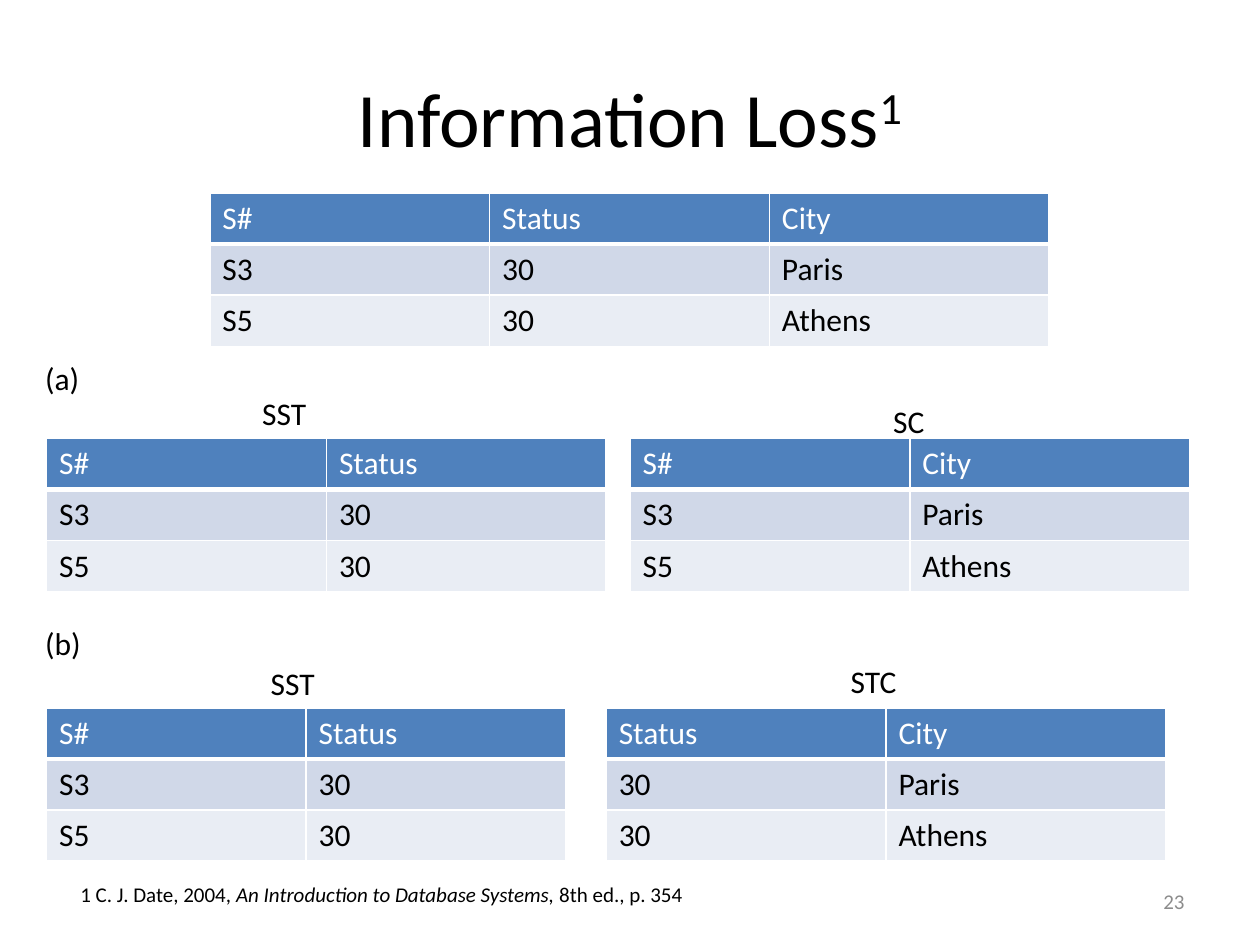
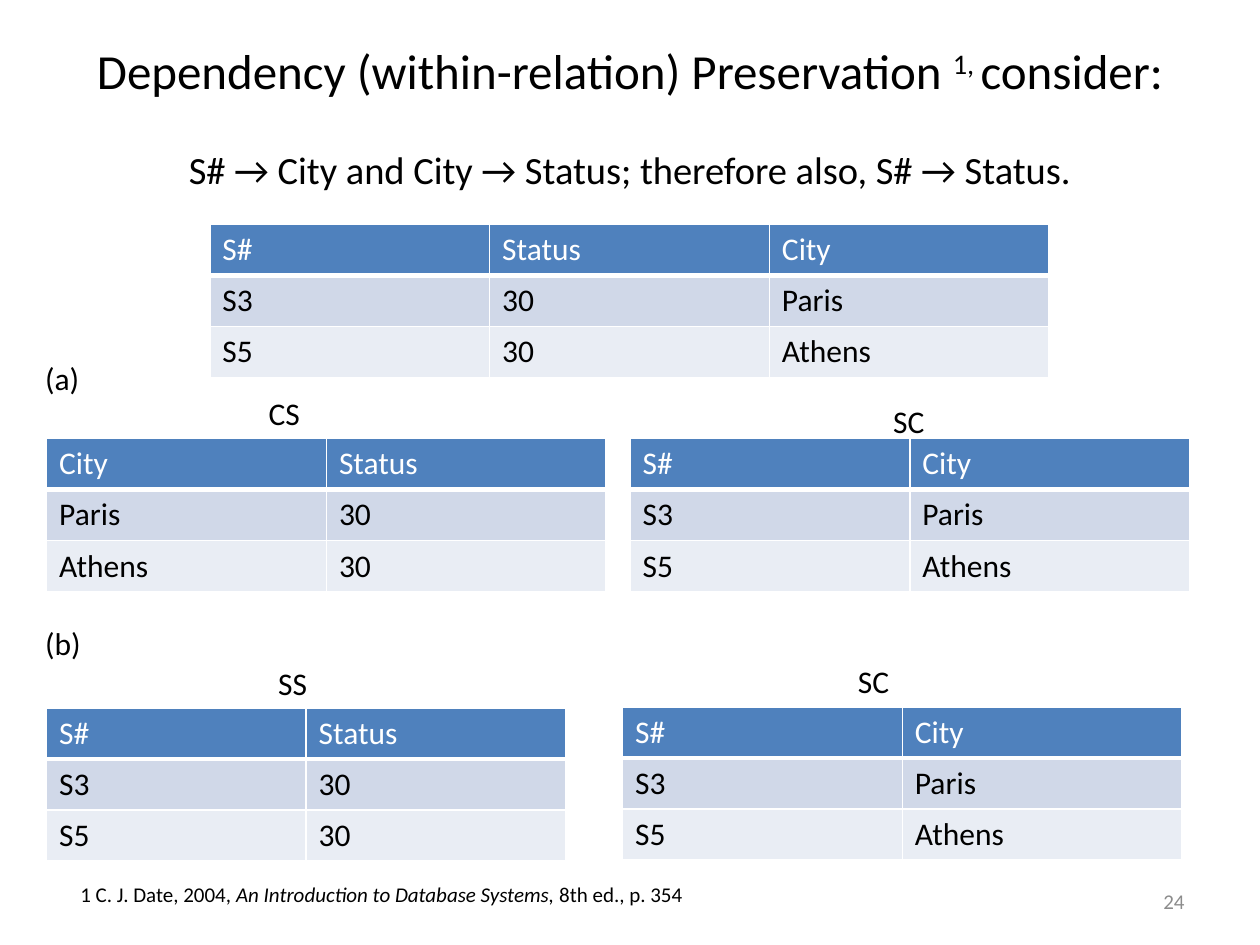
from lxml import etree
from pptx import Presentation
from pptx.dml.color import RGBColor
from pptx.enum.text import MSO_ANCHOR, PP_ALIGN
from pptx.oxml.ns import qn
from pptx.util import Cm, Pt

LEFT, CENTER, RIGHT = PP_ALIGN.LEFT, PP_ALIGN.CENTER, PP_ALIGN.RIGHT
TOP, MIDDLE = MSO_ANCHOR.TOP, MSO_ANCHOR.MIDDLE

FONT = "Calibri"
COLORS = {
    "text": "000000",
    "number": "8C8C8C",
    "line": "FFFFFF",
    "header_text": "FFFFFF",
    "header": "4F81BD",
    "odd_row": "D0D8E8",
    "even_row": "E9EDF4",
}
ROW_FILLS = ("header", "odd_row", "even_row")
ROW_HEIGHT = 1.03
WIDE_COLUMN, NARROW_COLUMN = 5.64, 5.23
LABEL_SIZE = (5.66, 1.02)
LEFT_TABLE, LOWER_TABLE_TOP = 0.94, 14.27

RELATION = {
    "S#": ("S3", "S5"),
    "Status": ("30", "30"),
    "City": ("Paris", "Athens"),
}
CITATION = [
    ("1 C. J. Date, 2004, ", {}),
    ("An Introduction to Database Systems,", {"italic": True}),
    (" 8th ed., p. 354", {}),
]
SUPERSCRIPT = {"baseline": 30000}

SLIDES = [
    {
        "number": "23",
        "title": [[("Information Loss", {}), ("1", SUPERSCRIPT)]],
        "title_sizes": (44,),
        "relation_top": 3.89,
        "upper_left": ("SST", ("S#", "Status")),
        "upper_right": ("SC", ("S#", "City")),
        "lower_left": ("SST", ("S#", "Status")),
        "lower_right": ("STC", ("Status", "City")),
        "lower_right_at": (12.22, LOWER_TABLE_TOP),
    },
    {
        "number": "24",
        "title": [
            [
                ("Dependency (within-relation) Preservation ", {}),
                ("1, ", SUPERSCRIPT),
                ("consider:", {}),
            ],
            [("S# → City and City → Status; therefore also, S# → Status.", {})],
        ],
        "title_sizes": (28, 22),
        "relation_top": 4.52,
        "upper_left": ("CS", ("City", "Status")),
        "upper_right": ("SC", ("S#", "City")),
        "lower_left": ("SS", ("S#", "Status")),
        "lower_right": ("SC", ("S#", "City")),
        "lower_right_at": (12.55, 14.25),
    },
]


def add_span(para, text, size, color="text", baseline=None, italic=False):
    span = para.add_run()
    span.text = text
    values = {"name": FONT, "size": Pt(size), "bold": False, "italic": italic}
    for name, value in values.items():
        setattr(span.font, name, value)
    span.font.color.rgb = RGBColor.from_string(COLORS[color])
    if baseline:
        span._r.get_or_add_rPr().set("baseline", str(baseline))


def add_text(page, place, paragraphs, sizes=(18,), align=LEFT, anchor=TOP,
             color="text", gap=0):
    box = page.shapes.add_textbox(*map(Cm, place))
    frame = box.text_frame
    for name, value in {"word_wrap": True, "vertical_anchor": anchor}.items():
        setattr(frame, name, value)
    for index, (spans, size) in enumerate(zip(paragraphs, sizes)):
        para = frame.add_paragraph() if index else frame.paragraphs[0]
        para.alignment = align
        if index:
            para.space_before = Pt(gap)
        for text, style in spans:
            add_span(para, text, size, color, **style)


def add_label(page, left, top, text, align=CENTER):
    add_text(page, (left, top, *LABEL_SIZE), [[(text, {})]], align=align)


def add_borders(cell, bottom_width):
    properties = cell._tc.get_or_add_tcPr()
    widths = {"lnL": 1, "lnR": 1, "lnT": 1, "lnB": bottom_width}
    for position, (side, width) in enumerate(widths.items()):
        line = etree.Element(qn(f"a:{side}"), w=str(Pt(width)))
        fill = etree.SubElement(line, qn("a:solidFill"))
        etree.SubElement(fill, qn("a:srgbClr"), val=COLORS["line"])
        properties.insert(position, line)


def add_relation(page, left, top, columns, column_width=WIDE_COLUMN):
    rows = [columns, *zip(*(RELATION[column] for column in columns))]
    width, height = column_width * len(columns), ROW_HEIGHT * len(rows)
    table = page.shapes.add_table(
        len(rows), len(columns), Cm(left), Cm(top), Cm(width), Cm(height)
    ).table
    for column in table.columns:
        column.width = Cm(column_width)
    for row_index, (values, fill) in enumerate(zip(rows, ROW_FILLS)):
        table.rows[row_index].height = Cm(ROW_HEIGHT)
        is_header = row_index == 0
        for column_index, value in enumerate(values):
            cell = table.cell(row_index, column_index)
            cell.fill.solid()
            cell.fill.fore_color.rgb = RGBColor.from_string(COLORS[fill])
            add_span(cell.text_frame.paragraphs[0], value, 18,
                     "header_text" if is_header else "text")
            add_borders(cell, 3 if is_header else 1)


def add_footer(page, number):
    add_text(page, (1.37, 17.65, 20.55, 0.76), [CITATION], (12,))
    add_text(page, (18.21, 17.65, 5.92, 1.02), [[(number, {})]], (12,),
             RIGHT, MIDDLE, "number")


def build_slide(deck, content):
    page = deck.slides.add_slide(deck.slide_layouts[6])
    add_text(page, (1.27, 0.76, 22.86, 3.18), content["title"],
             content["title_sizes"], CENTER, MIDDLE, gap=27)
    add_relation(page, 4.23, content["relation_top"], tuple(RELATION))

    add_label(page, 0.66, 7.11, "(a)", LEFT)
    add_label(page, 0.66, 12.45, "(b)", LEFT)
    projections = [
        ("upper_left", (2.9, 7.82), (LEFT_TABLE, 8.84), WIDE_COLUMN),
        ("upper_right", (15.49, 7.98), (12.7, 8.84), WIDE_COLUMN),
        ("lower_left", (3.07, 13.26), (LEFT_TABLE, LOWER_TABLE_TOP), NARROW_COLUMN),
        ("lower_right", (14.78, 13.23), content["lower_right_at"], WIDE_COLUMN),
    ]
    for key, label_at, table_at, column_width in projections:
        name, columns = content[key]
        add_relation(page, *table_at, columns, column_width)
        add_label(page, *label_at, name)
    add_footer(page, content["number"])


def main():
    deck = Presentation()
    deck.slide_width, deck.slide_height = Cm(25.4), Cm(19.05)
    for content in SLIDES:
        build_slide(deck, content)
    deck.save("out.pptx")


if __name__ == "__main__":
    main()
